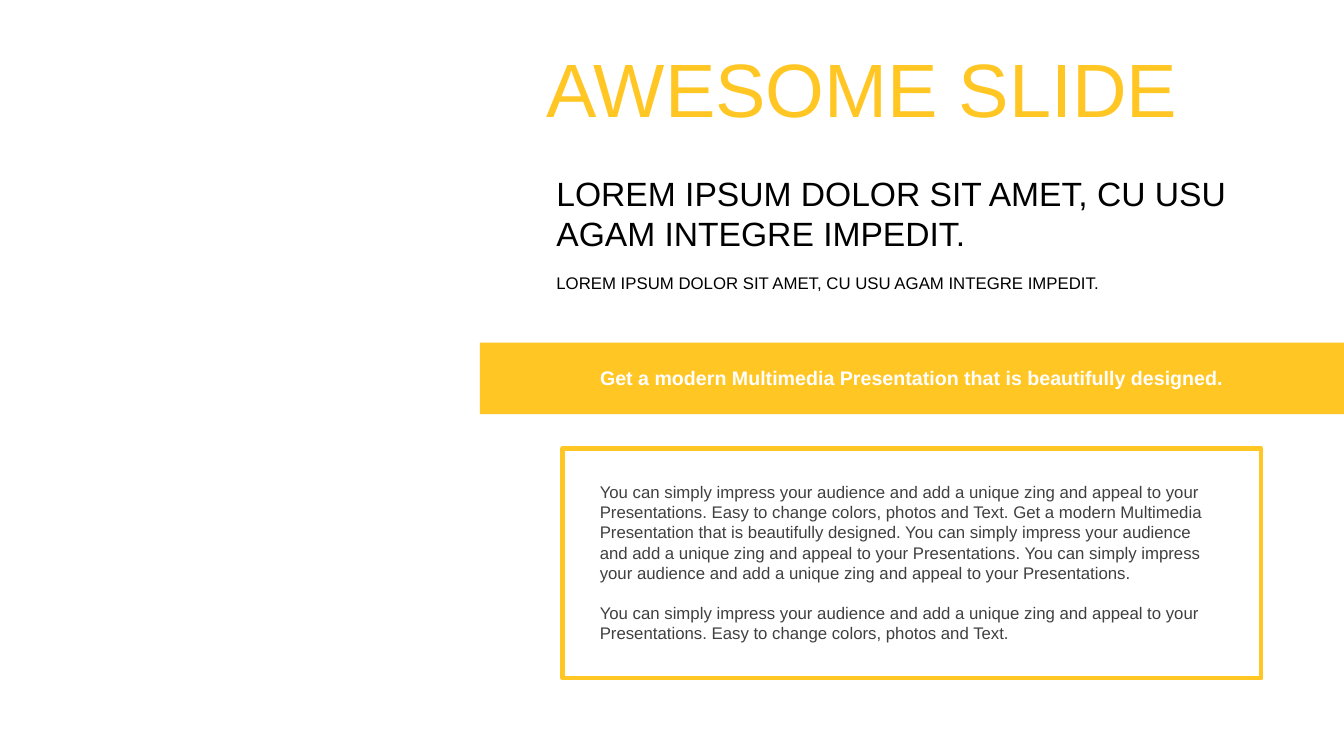
from dataclasses import dataclass

from pptx import Presentation
from pptx.dml.color import RGBColor
from pptx.enum.shapes import MSO_SHAPE
from pptx.enum.text import MSO_ANCHOR, MSO_AUTO_SIZE, PP_ALIGN
from pptx.util import Inches, Pt


@dataclass(frozen=True)
class Theme:
    """Colours, font and type sizes of the slide."""
    gold: RGBColor = RGBColor(0xFF, 0xC6, 0x24)
    black: RGBColor = RGBColor(0, 0, 0)
    gray: RGBColor = RGBColor(0x40, 0x40, 0x40)
    white: RGBColor = RGBColor(0xFF, 0xFF, 0xFF)
    font: str = "Arial"
    title: int = 54
    lead: int = 24
    band: int = 14
    body: int = 12
    gap: float = 14.4
    frame: int = 3


THEME = Theme()
LOREM = "LOREM IPSUM DOLOR SIT AMET, CU USU AGAM INTEGRE IMPEDIT."
OFFER = "Get a modern Multimedia Presentation that is beautifully designed."
ZING = ("You can simply impress your audience and add a unique zing "
        "and appeal to your Presentations.")
EASY = "Easy to change colors, photos and Text."
BODY = [f"{ZING} {EASY} {OFFER} {ZING} {ZING}", f"{ZING} {EASY}"]


def add_text(slide, box, lines, size, color, bold=False,
             align=PP_ALIGN.LEFT, anchor=MSO_ANCHOR.TOP, grow=True):
    """Place a wrapped text box with one paragraph per line and return its frame."""
    frame = slide.shapes.add_textbox(*map(Inches, box)).text_frame
    frame.word_wrap = True
    frame.auto_size = MSO_AUTO_SIZE.SHAPE_TO_FIT_TEXT if grow else MSO_AUTO_SIZE.NONE
    frame.vertical_anchor = anchor
    frame.text = "\n".join(lines)
    for index, para in enumerate(frame.paragraphs):
        para.alignment = align
        if index:
            para.space_before = Pt(THEME.gap)
        for run in para.runs:
            run.font.name = THEME.font
            run.font.size = Pt(size)
            run.font.bold = bold
            run.font.color.rgb = color
    return frame


def add_rect(slide, box):
    """Place a plain rectangle without a shadow."""
    rect = slide.shapes.add_shape(MSO_SHAPE.RECTANGLE, *map(Inches, box))
    rect.shadow.inherit = False
    return rect


def add_head(slide, left, top, width):
    """Place the title and the two lines of lead text below it."""
    title = add_text(slide, (left - 0.1, top, 7, 0.78), ["AWESOME SLIDE"],
                     THEME.title, THEME.gold, anchor=MSO_ANCHOR.MIDDLE, grow=False)
    title.paragraphs[0].line_spacing = 0.9
    for drop, height, size in ((1.13, 0.91, THEME.lead), (2.13, 0.3, THEME.body)):
        add_text(slide, (left, top + drop, width, height), [LOREM],
                 size, THEME.black, anchor=MSO_ANCHOR.MIDDLE)


def add_band(slide, left, top, width, height):
    """Place the gold band with its centred slogan."""
    band = add_rect(slide, (left, top, width, height))
    band.fill.solid()
    band.fill.fore_color.rgb = THEME.gold
    band.line.fill.background()
    add_text(slide, (left + 0.82, top + 0.18, 6.93, 0.34), [OFFER],
             THEME.band, THEME.white, bold=True, align=PP_ALIGN.CENTER)


def add_panel(slide, left, top, width, height):
    """Place the framed panel with the body text inset in it."""
    panel = add_rect(slide, (left, top, width, height))
    panel.fill.background()
    panel.line.color.rgb = THEME.gold
    panel.line.width = Pt(THEME.frame)
    inset = 0.27
    box = (left + inset, top + 0.28, width - 2 * inset, height - 2 * 0.28)
    add_text(slide, box, BODY, THEME.body, THEME.gray)


def main():
    """Build the slide and save it."""
    deck = Presentation()
    deck.slide_width, deck.slide_height = Inches(13.33), Inches(7.5)
    slide = deck.slides.add_slide(deck.slide_layouts[6])
    add_head(slide, 5.42, 0.53, 7.09)
    add_band(slide, 4.76, 3.4, 8.57, 0.71)
    add_panel(slide, 5.58, 4.45, 6.93, 2.28)
    deck.save("out.pptx")


if __name__ == "__main__":
    main()
